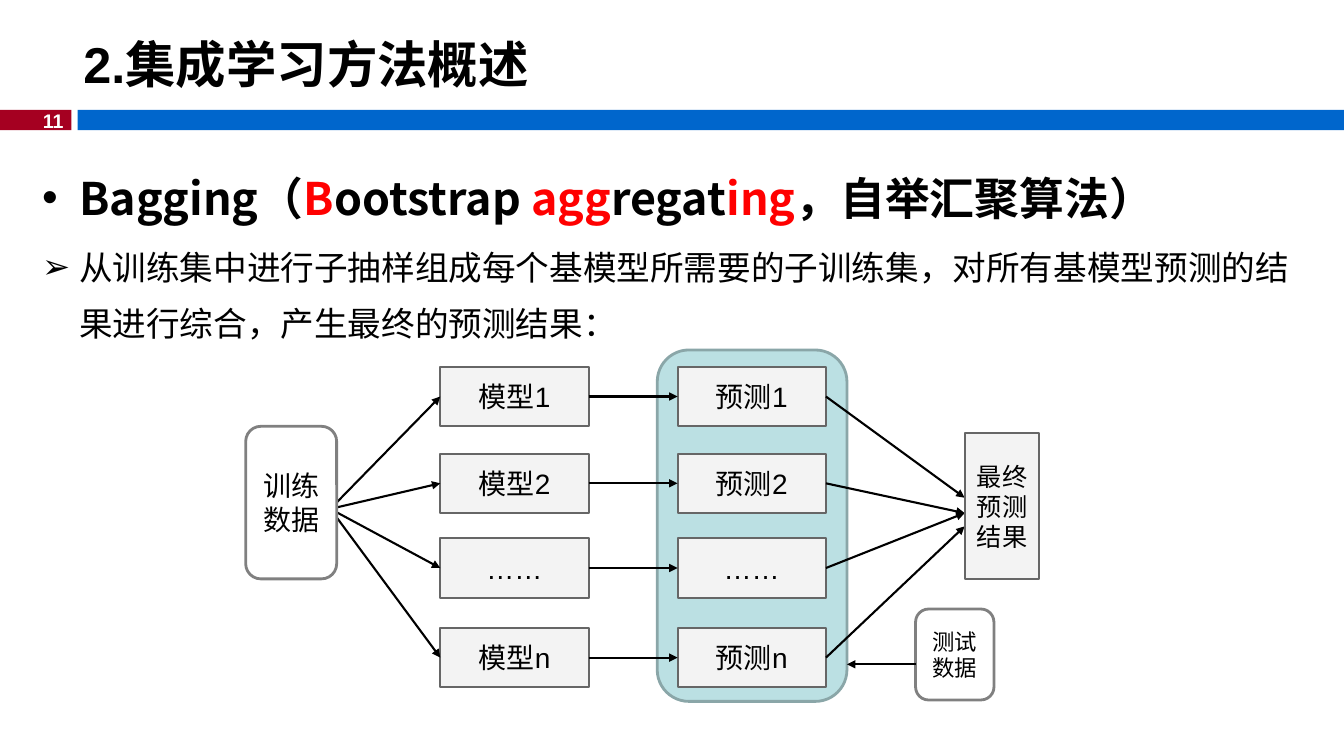
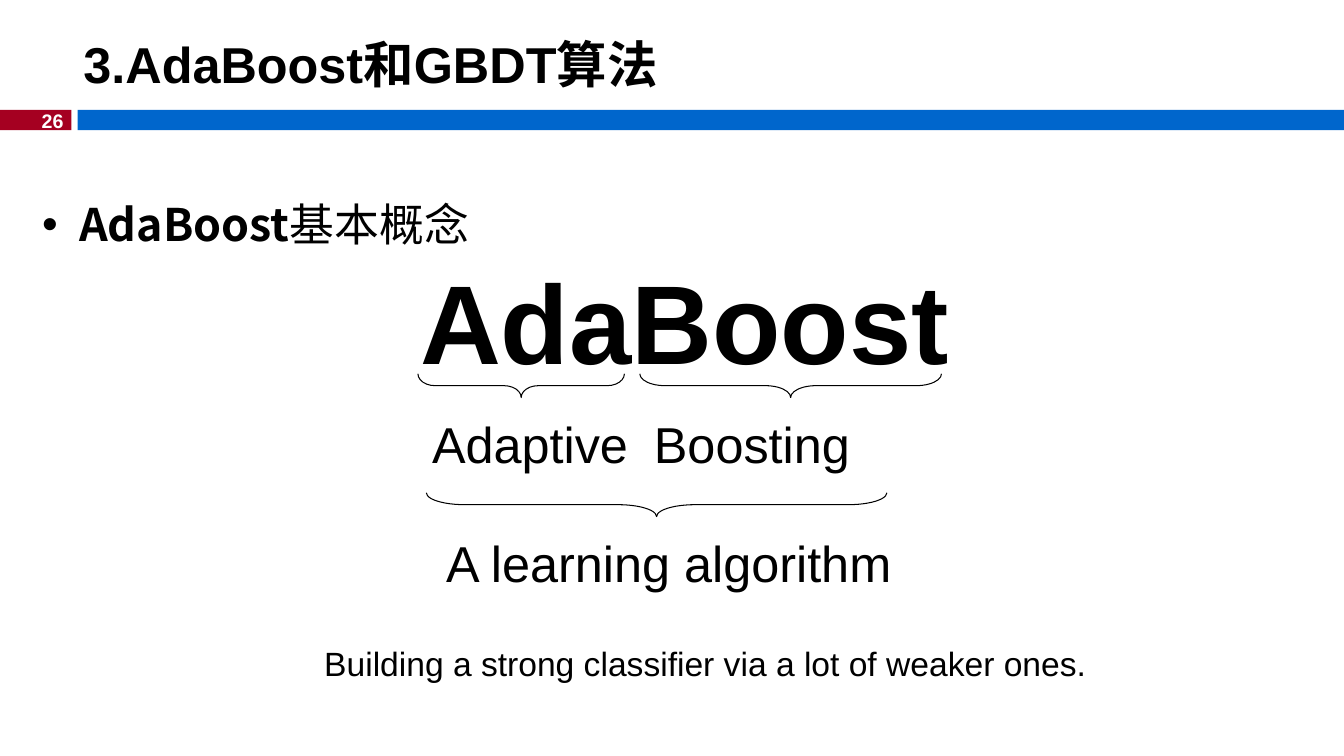
from lxml import etree
from pptx import Presentation
from pptx.dml.color import RGBColor
from pptx.enum.shapes import MSO_CONNECTOR, MSO_SHAPE
from pptx.enum.text import MSO_ANCHOR, PP_ALIGN
from pptx.oxml.ns import qn
from pptx.util import Pt

RECT, ROUND, BRACE = MSO_SHAPE.RECTANGLE, MSO_SHAPE.ROUNDED_RECTANGLE, MSO_SHAPE.RIGHT_BRACE
LINE = MSO_CONNECTOR.STRAIGHT
LEFT, MID, RIGHT = PP_ALIGN.LEFT, PP_ALIGN.CENTER, PP_ALIGN.RIGHT
TOP, CENTER = MSO_ANCHOR.TOP, MSO_ANCHOR.MIDDLE
WEST, EAST = 1, 3

COLORS = {
    "black": "000000", "white": "FFFFFF", "red": "FF0000",
    "tag": "A50021", "band": "0066CC", "panel": "BBE0E3", "rim": "8AA6A8",
    "node": "F3F3F3", "edge": "666666", "gray": "808080",
}
ARIAL, NOTO = "Arial", "Noto Sans CJK SC"
WIDE, HIGH = 960, 540
INSET = 7.2

BAGGING = {
    "title": "2.集成学习方法概述", "number": "11",
    "body": [
        {"mark": "•", "size": 32, "line": 42, "before": 0, "align": LEFT, "runs": [
            ("Bagging（", "black", True), ("B", "red", True),
            ("ootstrap ", "black", True), ("agg", "red", True),
            ("regat", "black", True), ("ing", "red", True),
            ("，自举汇聚算法）", "black", True)]},
        {"mark": "➢", "size": 24, "line": 40, "before": 4.8, "align": LEFT, "runs": [
            ("从训练集中进行子抽样组成每个基模型所需要的子训练集，"
             "对所有基模型预测的结果进行综合，产生最终的预测结果：", "black", False)]},
    ],
}
ADABOOST = {
    "title": "3.AdaBoost和GBDT算法", "number": "26",
    "body": [
        {"mark": "•", "size": 32, "line": 61, "before": 0, "align": PP_ALIGN.JUSTIFY, "runs": [
            ("AdaBoost", "black", True), ("基本概念", "black", False)]},
    ],
}

ROWS = [("模型1", "预测1", 262), ("模型2", "预测2", 324),
        ("……", "……", 384.5), ("模型n", "预测n", 448.5)]
MODEL_X, GUESS_X, NODE_W, NODE_H = 314.5, 484, 106, 42.5
FAN = (236, 363.5)
GOALS = [355.5, 366.5, 366.5, 376]
PANEL = (469.5, 250, 135.5, 251)
TRAIN = (175.5, 304.5, 65, 109)
FINAL = (689, 309.5, 53.5, 104)
TEST = (654, 435, 56, 65)
TEST_Y = 474.5

BRACES = [(298.5, 267, 147.5, 0.72), (457, 267, 215.5, 1.06), (304.5, 352, 329, 1.61)]
BRACE_H = 17
WORDS = [("AdaBoost", 293, 176.5, 420, 80, True),
         ("Adaptive", 301.5, 291.5, 170, 36, False),
         ("Boosting", 460, 291.5, 170, 36, False),
         ("A learning algorithm", 311.5, 376.5, 350, 36, False),
         ("Building a strong classifier via a lot of weaker ones.", 224.5, 456, 580, 24, False)]


def rgb(name):
    return RGBColor.from_string(COLORS[name])


def style(run, size, face=ARIAL, color="black", bold=False):
    font = run.font
    font.size, font.bold, font.name = Pt(size), bold, face
    font.color.rgb = rgb(color)
    etree.SubElement(run._r.get_or_add_rPr(), qn("a:ea"), typeface=NOTO)


def label(shape, text, size, align=LEFT, anchor=CENTER, line=None, **look):
    frame = shape.text_frame
    frame.word_wrap = True
    frame.vertical_anchor = anchor
    frame.text = text
    para = frame.paragraphs[0]
    para.alignment = align
    if line:
        para.line_spacing = Pt(line)
    style(para.runs[0], size, **look)


def text_box(slide, box, text, size, **look):
    label(slide.shapes.add_textbox(*map(Pt, box)), text, size, **look)


def block(slide, kind, box, fill=None, edge=None, width=1.5):
    shape = slide.shapes.add_shape(kind, *map(Pt, box))
    shape.shadow.inherit = False
    if fill:
        shape.fill.solid()
        shape.fill.fore_color.rgb = rgb(fill)
    else:
        shape.fill.background()
    if edge:
        shape.line.color.rgb = rgb(edge)
        shape.line.width = Pt(width)
    else:
        shape.line.fill.background()
    return shape


def node(slide, box, text, size=20, line=None, kind=RECT, fill="node", edge="edge", width=1.5):
    shape = block(slide, kind, box, fill, edge, width)
    frame = shape.text_frame
    frame.margin_left = frame.margin_right = Pt(INSET)
    label(shape, text, size, align=MID, line=line)
    return shape


def arrow(slide, start, end, source=None, target=None):
    link = slide.shapes.add_connector(LINE, *map(Pt, start + end))
    if source:
        link.begin_connect(source, EAST)
    if target:
        link.end_connect(target, WEST)
    link.line.color.rgb = rgb("black")
    link.line.width = Pt(1.5)
    etree.SubElement(link.line._get_or_add_ln(), qn("a:tailEnd"), type="triangle")
    etree.SubElement(link._element.spPr, qn("a:effectLst"))


def body(slide, items):
    frame = slide.shapes.add_textbox(Pt(23), Pt(114.5), Pt(908), Pt(368)).text_frame
    frame.word_wrap = True
    for i, item in enumerate(items):
        para = frame.add_paragraph() if i else frame.paragraphs[0]
        props = para._p.get_or_add_pPr()
        props.set("marL", str(Pt(26.5)))
        props.set("indent", str(Pt(-26.5)))
        etree.SubElement(props, qn("a:buFont"), typeface=ARIAL)
        etree.SubElement(props, qn("a:buChar"), char=item["mark"])
        para.alignment = item["align"]
        para.line_spacing = Pt(item["line"])
        if item["before"]:
            para.space_before = Pt(item["before"])
        for text, color, bold in item["runs"]:
            run = para.add_run()
            run.text = text
            style(run, item["size"], NOTO, color, bold)


def base(deck, page):
    slide = deck.slides.add_slide(deck.slide_layouts[6])
    block(slide, RECT, (0, 78.5, 51, 14.5), "tag")
    block(slide, RECT, (55.5, 78.5, WIDE - 55.5, 14.5), "band")
    text_box(slide, (0, 74, 52.5, 24.5), page["number"], 14, align=RIGHT, color="white", bold=True)
    text_box(slide, (52.5, 18.5, WIDE - 52.5, 53.5), page["title"], 36, bold=True)
    body(slide, page["body"])
    return slide


def bagging(deck):
    slide = base(deck, BAGGING)
    block(slide, ROUND, PANEL, "panel", "rim", 2)
    for (model, guess, top), goal in zip(ROWS, GOALS):
        left = node(slide, (MODEL_X, top, NODE_W, NODE_H), model)
        right = node(slide, (GUESS_X, top, NODE_W, NODE_H), guess)
        mid = top + NODE_H / 2
        arrow(slide, FAN, (MODEL_X, mid), target=left)
        arrow(slide, (MODEL_X + NODE_W, mid), (GUESS_X, mid), left, right)
        arrow(slide, (GUESS_X + NODE_W, mid), (FINAL[0], goal), source=right)
    data = {"kind": ROUND, "fill": "white", "edge": "gray", "width": 2}
    node(slide, TRAIN, "训练数据", line=24, **data)
    node(slide, FINAL, "最终预测结果", 18, line=21.5)
    node(slide, TEST, "测试数据", 16, line=19, **data)
    arrow(slide, (TEST[0], TEST_Y), (PANEL[0] + PANEL[2], TEST_Y))


def adaboost(deck):
    slide = base(deck, ADABOOST)
    for left, top, span, bend in BRACES:
        shift = (span - BRACE_H) / 2
        brace = block(slide, BRACE, (left + shift, top - shift, BRACE_H, span), edge="black", width=0.75)
        brace.rotation = 90
        brace.adjustments[0] = bend
    for text, left, top, width, size, bold in WORDS:
        text_box(slide, (left, top, width, size * 1.15 + INSET), text, size, anchor=TOP, bold=bold)


def main():
    deck = Presentation()
    deck.slide_width, deck.slide_height = Pt(WIDE), Pt(HIGH)
    bagging(deck)
    adaboost(deck)
    deck.save("out.pptx")


if __name__ == "__main__":
    main()
